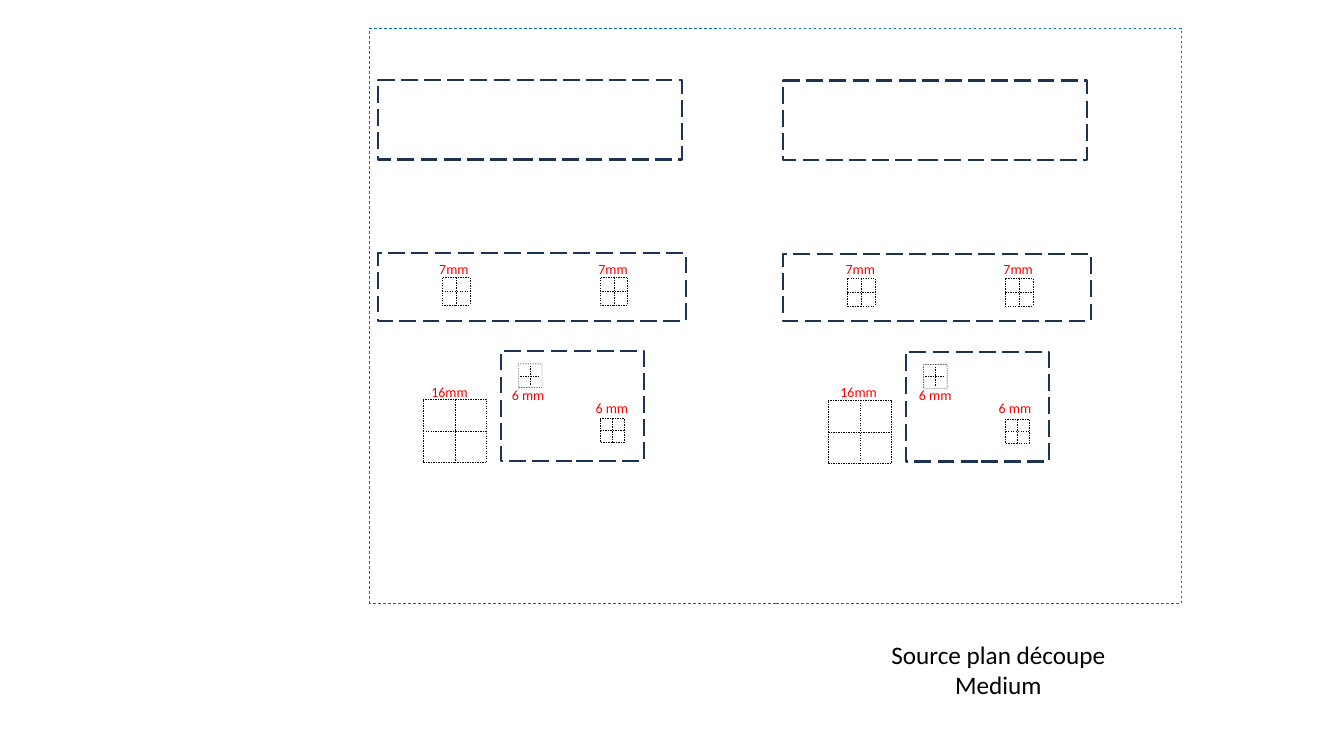
from lxml import etree
from pptx import Presentation
from pptx.dml.color import RGBColor
from pptx.enum.dml import MSO_LINE
from pptx.enum.shapes import MSO_CONNECTOR, MSO_SHAPE
from pptx.enum.text import MSO_ANCHOR, MSO_AUTO_SIZE, PP_ALIGN
from pptx.oxml.ns import qn
from pptx.util import Cm, Pt

RECT, STRAIGHT = MSO_SHAPE.RECTANGLE, MSO_CONNECTOR.STRAIGHT
DASH, LONG_DASH = MSO_LINE.DASH, MSO_LINE.LONG_DASH
TOP, GROW = MSO_ANCHOR.TOP, MSO_AUTO_SIZE.SHAPE_TO_FIT_TEXT
LEFT, CENTER = PP_ALIGN.LEFT, PP_ALIGN.CENTER

FONT = "Calibri"
BLACK, RED, BLUE, NAVY = "000000", "FF0000", "0070C0", "1E3256"

prs = Presentation()
prs.slide_width, prs.slide_height = Cm(33.87), Cm(19.05)
s = prs.slides.add_slide(prs.slide_layouts[5])


def add_outline(x, y, w, h, color, width, dash):
    """Add an unfilled dashed rectangle, or a dashed line if w or h is 0."""
    if w and h:
        sp = s.shapes.add_shape(RECT, Cm(x), Cm(y), Cm(w), Cm(h))
        sp.shadow.inherit = False
        sp.fill.background()
    else:
        sp = s.shapes.add_connector(STRAIGHT, Cm(x), Cm(y), Cm(x + w), Cm(y + h))
    sp.line.color.rgb = RGBColor.from_string(color)
    sp.line.width = Pt(width)
    sp.line.dash_style = dash
    if not (w and h):
        etree.SubElement(sp._element.spPr, qn("a:effectLst"))
    return sp


def write_text(sp, text, size, color, align):
    tf = sp.text_frame
    tf.text = text
    tf.word_wrap = True
    tf.auto_size = GROW
    tf.vertical_anchor = TOP
    for p in tf.paragraphs:
        p.alignment = align
        for r in p.runs:
            r.font.name, r.font.size = FONT, Pt(size)
            r.font.color.rgb = RGBColor.from_string(color)


# Caption and sheet border
title = s.shapes.title
title.left, title.top, title.width, title.height = Cm(22.15), Cm(15.98), Cm(6.02), Cm(1.8)
write_text(title, "Source plan découpe\nMedium", 18, BLACK, CENTER)
add_outline(9.32, 0.71, 20.45, 14.5, BLUE, 0.5, DASH)

# Both halves of the sheet hold the same pieces
HALVES = [(0, 0), (10.21, 0.02)]
# x, y, side, gap between cross and square, opacity in percent
TARGETS = [
    (15.13, 10.55, 0.6, 0, 100),
    (11.14, 6.99, 0.7, 0, 100),
    (15.12, 6.99, 0.7, 0, 100),
    (10.66, 10.06, 1.6, 0, 100),
    (13.06, 9.17, 0.6, 0.05, 93),
]
PIECES = [
    (9.53, 2.01, 7.65, 2.01),
    (9.53, 6.38, 7.75, 1.7),
    (12.62, 8.84, 3.61, 2.77),
]
for dx, dy in HALVES:
    for x, y, side, gap, opacity in TARGETS:
        x, y = x + dx, y + dy
        mid, arm = side / 2, side - 2 * gap
        square = add_outline(x, y, side, side, BLACK, 0.25, DASH)
        if opacity < 100:
            clr = square.line._ln.find(".//" + qn("a:srgbClr"))
            etree.SubElement(clr, qn("a:alpha"), val=str(opacity * 1000))
        add_outline(x + gap, y + mid, arm, 0, BLACK, 0.25, DASH)
        add_outline(x + mid, y + gap, 0, arm, BLACK, 0.25, DASH)
    for x, y, w, h in PIECES:
        add_outline(x + dx, y + dy, w, h, NAVY, 1.5, LONG_DASH)

# Size labels: text, left in each half, top, width
LABELS = [
    ("7mm", (10.82, 21.06), 6.45, 1.35),
    ("7mm", (14.83, 25.04), 6.45, 1.35),
    ("6 mm", (14.76, 24.92), 9.95, 1.4),
    ("6 mm", (12.65, 22.91), 9.61, 1.4),
    ("16mm", (10.62, 20.93), 9.53, 1.68),
]
for text, lefts, y, w in LABELS:
    for x in lefts:
        label = s.shapes.add_textbox(Cm(x), Cm(y), Cm(w), Cm(0.68))
        write_text(label, text, 10, RED, LEFT)

prs.save("out.pptx")
